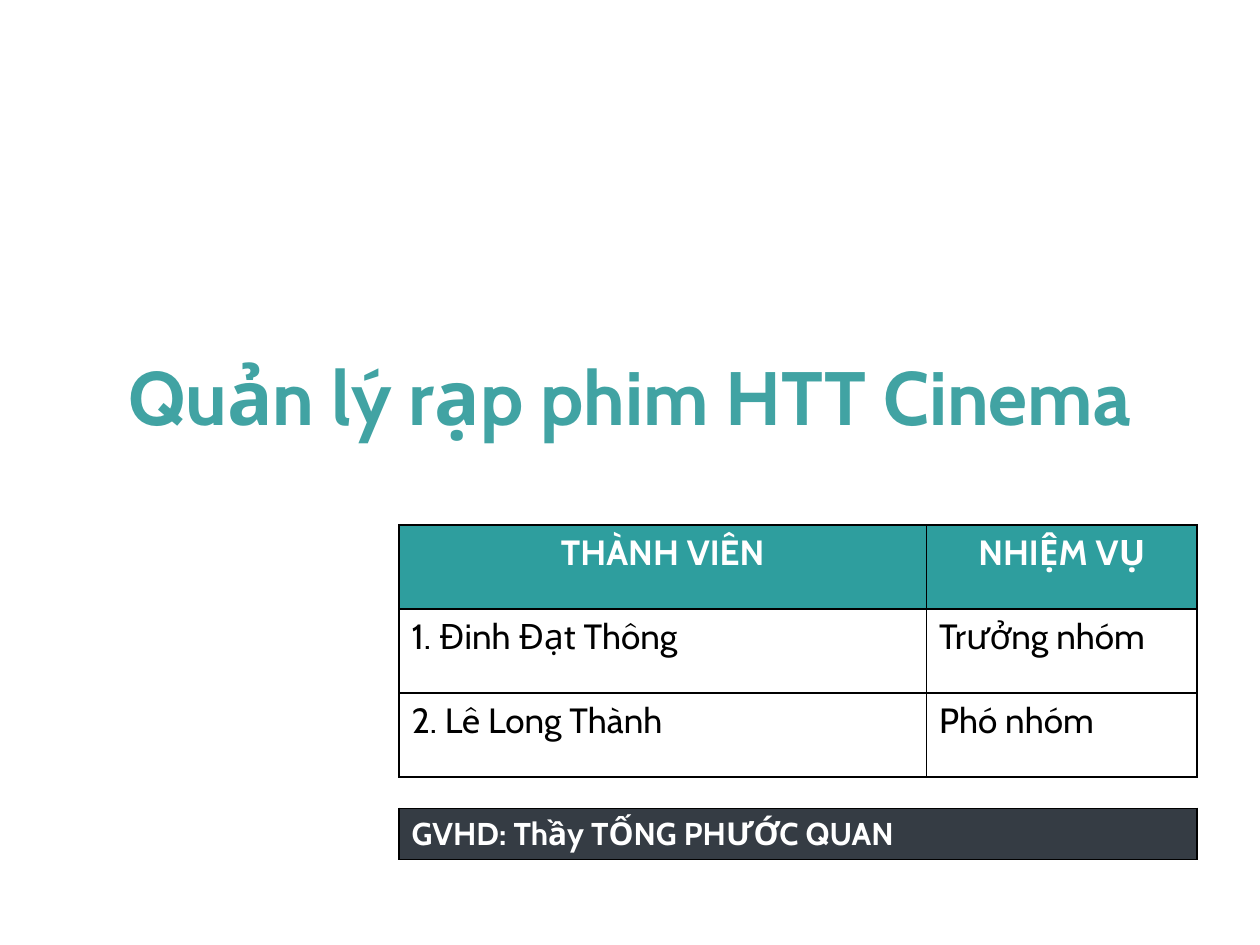
"""Build the title slide of a cinema management project."""
from dataclasses import dataclass

import pptx
import pptx.dml.color
import pptx.enum.text
import pptx.oxml
import pptx.oxml.ns
import pptx.util

Pt = pptx.util.Pt
ALIGN = pptx.enum.text.PP_ALIGN
ANCHOR = pptx.enum.text.MSO_ANCHOR


@dataclass(frozen=True)
class Theme:
    """Colours and type sizes of the slide."""
    font: str = "Cabin"
    title: str = "41A3A3"
    header: str = "2E9E9E"
    band: str = "353C44"
    light: str = "FFFFFF"
    dark: str = "000000"
    title_size: float = 43.2
    table_size: float = 20
    band_size: float = 18


THEME = Theme()


def write_text(frame, text, size, color, bold=False, align=ALIGN.LEFT):
    """Put one formatted paragraph into a text frame."""
    paragraph = frame.paragraphs[0]
    paragraph.alignment = align
    run = paragraph.add_run()
    run.text = text
    formats = {"name": THEME.font, "size": Pt(size), "bold": bold}
    for name, value in formats.items():
        setattr(run.font, name, value)
    run.font.color.rgb = pptx.dml.color.RGBColor.from_string(color)


def add_title(slide, text, left, top, width, height):
    """Add the centred title."""
    shape = slide.shapes.add_textbox(Pt(left), Pt(top), Pt(width), Pt(height))
    frame = shape.text_frame
    for name, value in {"word_wrap": True, "vertical_anchor": ANCHOR.MIDDLE}.items():
        setattr(frame, name, value)
    write_text(frame, text, THEME.title_size, THEME.title, True, ALIGN.CENTER)


def border_cell(cell):
    """Draw a one-point line on every side of a cell."""
    properties = cell._tc.get_or_add_tcPr()
    namespace = pptx.oxml.ns.nsdecls("a")
    for position, side in enumerate(("lnL", "lnR", "lnT", "lnB")):
        line = pptx.oxml.parse_xml(
            f'<a:{side} {namespace} w="{int(Pt(1))}"><a:solidFill>'
            f'<a:srgbClr val="{THEME.dark}"/></a:solidFill></a:{side}>')
        properties.insert(position, line)


def fill_cell(cell, color):
    """Fill a cell with a colour, or leave it clear."""
    if color is None:
        cell.fill.background()
        return
    cell.fill.solid()
    cell.fill.fore_color.rgb = pptx.dml.color.RGBColor.from_string(color)


def add_table(slide, left, top, widths, row_height, rows, size, head_fill, head_align):
    """Add a bordered table whose first row is a filled heading."""
    table = slide.shapes.add_table(
        len(rows), len(widths), Pt(left), Pt(top),
        Pt(sum(widths)), Pt(row_height * len(rows))).table
    for name in ("first_row", "horz_banding"):
        setattr(table, name, False)
    for column, width in zip(table.columns, widths):
        column.width = Pt(width)
    for row_index, texts in enumerate(rows):
        table.rows[row_index].height = Pt(row_height)
        heading = row_index == 0
        for column_index, text in enumerate(texts):
            cell = table.cell(row_index, column_index)
            write_text(cell.text_frame, text, size,
                       THEME.light if heading else THEME.dark, heading,
                       head_align if heading else ALIGN.LEFT)
            fill_cell(cell, head_fill if heading else None)
            border_cell(cell)


def main():
    """Build and save the slide."""
    presentation = pptx.Presentation()
    for name, value in {"slide_width": Pt(720), "slide_height": Pt(540)}.items():
        setattr(presentation, name, value)
    slide = presentation.slides.add_slide(presentation.slide_layouts[6])
    add_title(slide, "Quản lý rạp phim HTT Cinema", 0, 168, 720, 116)
    members = [("THÀNH VIÊN", "NHIỆM VỤ"),
               ("1. Đinh Đạt Thông", "Trưởng nhóm"),
               ("2. Lê Long Thành", "Phó nhóm")]
    add_table(slide, 228, 300, (301.5, 154.5), 48, members,
              THEME.table_size, THEME.header, ALIGN.CENTER)
    add_table(slide, 228, 462, (456,), 29.2, [("GVHD: Thầy TỐNG PHƯỚC QUAN",)],
              THEME.band_size, THEME.band, ALIGN.LEFT)
    presentation.save("out.pptx")


if __name__ == "__main__":
    main()
